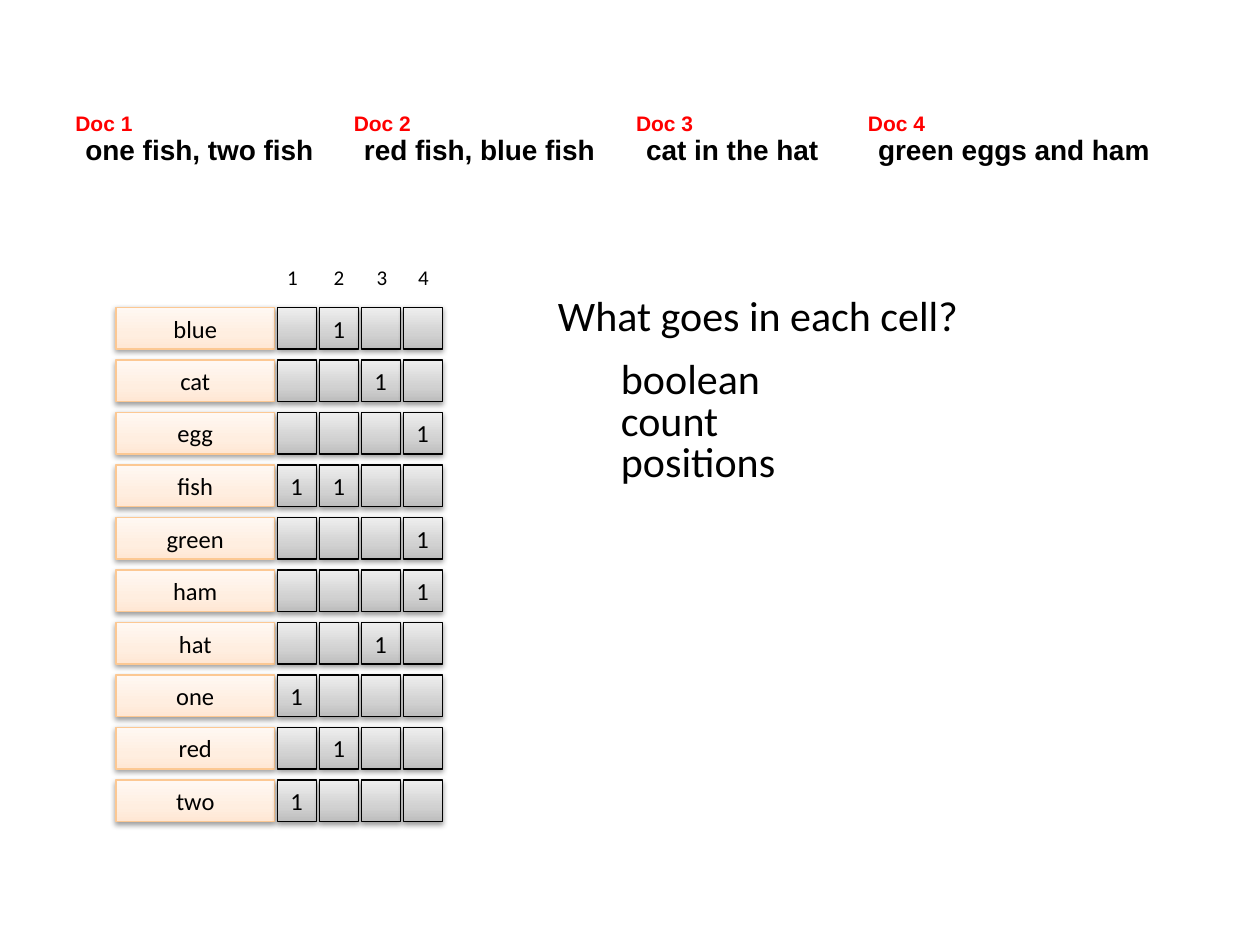
from pptx import Presentation
from pptx.dml.color import RGBColor
from pptx.enum.shapes import MSO_SHAPE
from pptx.enum.text import MSO_ANCHOR, MSO_AUTO_SIZE, PP_ALIGN
from pptx.oxml import parse_xml
from pptx.oxml.ns import nsdecls
from pptx.util import Inches, Pt

RECT = MSO_SHAPE.RECTANGLE
MIDDLE = MSO_ANCHOR.MIDDLE
CENTER = PP_ALIGN.CENTER
GROW = MSO_AUTO_SIZE.SHAPE_TO_FIT_TEXT

BLACK, RED = "000000", "FF0000"
GREY_STOPS = ((0, "BDBDBD"), (35, "D1D1D1"), (100, "EEEEEE"))
ORANGE_STOPS = ((0, "FFE7D4"), (35, "FFEEE0"), (100, "FFF8F3"))

DOCS = [
    (0.5, "one fish, two fish", 2.04),
    (2.71, "red fish, blue fish", 2.06),
    (4.95, "cat in the hat", 1.59),
    (6.79, "green eggs and ham", 2.38),
]
TERMS = {
    "blue": [2], "cat": [3], "egg": [4], "fish": [1, 2], "green": [4],
    "ham": [4], "hat": [3], "one": [1], "red": [2], "two": [1],
}
DOC_NUMBER_LEFTS = [2.18, 2.55, 2.89, 3.22]
ROW_TOP, ROW_STEP, ROW_HEIGHT = 2.44, 5 / 12, 0.33
COLUMN_LEFT, COLUMN_STEP, CELL_WIDTH = 2.2, 1 / 3, 0.31
TERM_LEFT, TERM_WIDTH = 0.92, 1.26


def rgb(color):
    return RGBColor.from_string(color)


class SlideBuilder:
    font = "Calibri"
    doc_font = "Arial"

    def __init__(self, slide):
        self.shapes = slide.shapes

    def run(self, p, text, size, color=BLACK, font=None, bold=False):
        r = p.add_run()
        r.text = text
        r.font.name = font or self.font
        r.font.size = Pt(size)
        r.font.bold = bold
        r.font.color.rgb = rgb(color)

    def text(self, left, top, width, height, text, size, wrap=False,
             shapes=None, **style):
        parent = self.shapes if shapes is None else shapes
        sp = parent.add_textbox(
            Inches(left), Inches(top), Inches(width), Inches(height))
        tf = sp.text_frame
        tf.word_wrap = wrap
        tf.auto_size = GROW
        self.run(tf.paragraphs[0], text, size, **style)

    def document(self, left, name, words, width):
        shapes = self.shapes.add_group_shape().shapes
        self.text(left + 0.08, 1, width, 0.37, words, 16, shapes=shapes,
                  font=self.doc_font, bold=True)
        self.text(left, 0.83, 0.66, 0.3, name, 12, shapes=shapes,
                  color=RED, font=self.doc_font, bold=True)

    def box(self, left, top, width, stops, line, text=""):
        sp = self.shapes.add_shape(
            RECT, Inches(left), Inches(top), Inches(width), Inches(ROW_HEIGHT))
        self.gradient(sp, stops)
        sp.line.color.rgb = rgb(line)
        sp.line.width = Pt(0.75)
        self.shadow(sp)
        if text:
            tf = sp.text_frame
            tf.word_wrap = False
            tf.vertical_anchor = MIDDLE
            p = tf.paragraphs[0]
            p.alignment = CENTER
            self.run(p, text, 14)

    def gradient(self, sp, stops):
        marks = "".join(
            f'<a:gs pos="{pos * 1000}"><a:srgbClr val="{color}"/></a:gs>'
            for pos, color in stops)
        fill = parse_xml(
            f'<a:gradFill {nsdecls("a")} rotWithShape="1">'
            f'<a:gsLst>{marks}</a:gsLst>'
            '<a:lin ang="16200000" scaled="0"/></a:gradFill>')
        sp.element.spPr.insert(2, fill)

    def shadow(self, sp):
        sp.element.spPr.append(parse_xml(
            f'<a:effectLst {nsdecls("a")}>'
            '<a:outerShdw blurRad="40000" dist="20000" dir="5400000" '
            'rotWithShape="0"><a:srgbClr val="000000">'
            '<a:alpha val="38000"/></a:srgbClr></a:outerShdw></a:effectLst>'))


def main():
    prs = Presentation()
    prs.slide_width, prs.slide_height = Inches(10), Inches(7.5)
    s = SlideBuilder(prs.slides.add_slide(prs.slide_layouts[6]))

    for number, (left, words, width) in enumerate(DOCS, 1):
        s.document(left, f"Doc {number}", words, width)

    for number, left in enumerate(DOC_NUMBER_LEFTS, 1):
        s.text(left, 2.05, 0.29, 0.3, str(number), 12)

    for row, (term, docs) in enumerate(TERMS.items()):
        top = ROW_TOP + row * ROW_STEP
        s.box(TERM_LEFT, top, TERM_WIDTH, ORANGE_STOPS, "FCC893", term)
        for column in range(len(DOCS)):
            s.box(COLUMN_LEFT + column * COLUMN_STEP, top, CELL_WIDTH,
                  GREY_STOPS, BLACK, "1" if column + 1 in docs else "")

    s.text(4.33, 2.25, 4.92, 0.5, "What goes in each cell?", 24, wrap=True)
    for i, option in enumerate(["boolean", "count", "positions"]):
        s.text(4.83, 2.75 + i * 0.33, 1.58, 0.5, option, 24, wrap=True)

    prs.save("out.pptx")


if __name__ == "__main__":
    main()
